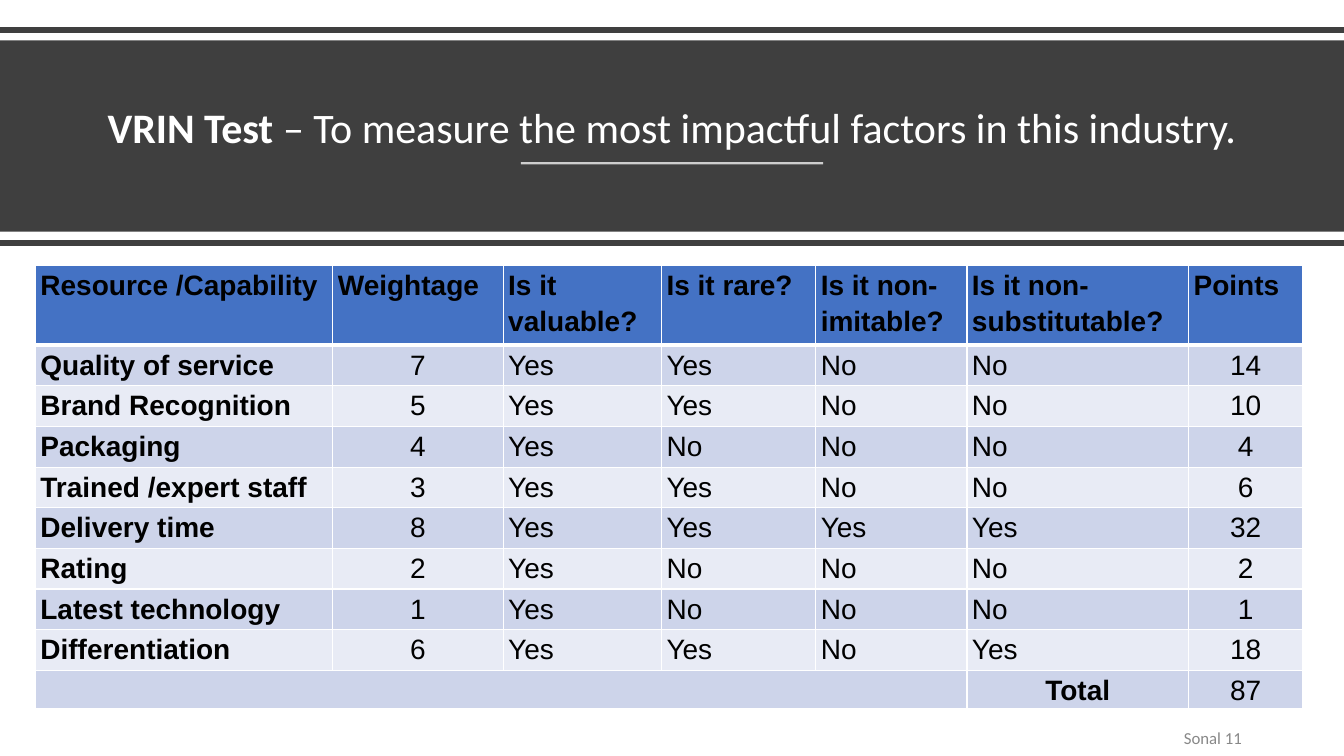
from dataclasses import dataclass

from pptx import Presentation
from pptx.dml.color import RGBColor
from pptx.enum.shapes import MSO_CONNECTOR, MSO_SHAPE
from pptx.enum.text import MSO_ANCHOR, MSO_AUTO_SIZE, PP_ALIGN
from pptx.oxml.ns import qn
from pptx.util import Inches, Pt
from lxml import etree

STRAIGHT = MSO_CONNECTOR.STRAIGHT
RECTANGLE = MSO_SHAPE.RECTANGLE
LEFT, CENTER, RIGHT = PP_ALIGN.LEFT, PP_ALIGN.CENTER, PP_ALIGN.RIGHT
BOTTOM, MIDDLE = MSO_ANCHOR.BOTTOM, MSO_ANCHOR.MIDDLE
NO_AUTOFIT = MSO_AUTO_SIZE.NONE

SLIDE_WIDTH, SLIDE_HEIGHT = Inches(13.333), Inches(7.5)
CHARCOAL, WHITE, BLACK, GRAY = "3F3F3F", "FFFFFF", "000000", "888888"
HEADER_FILL = "4472C4"
BAND_FILLS = ("CDD4EA", "E8EBF5")

COLUMN_PERCENTS = (22.13, 12.68, 11.78, 11.48, 11.25, 16.5, 8.48)
ROW_PERCENTS = (10.6, *[5.38] * 8, 4.8)
HEADERS = (
    "Resource /Capability",
    "Weightage",
    "Is it\nvaluable?",
    "Is it rare?",
    "Is it non-\nimitable?",
    "Is it non- substitutable?",
    "Points",
)


@dataclass(frozen=True)
class Rule:
    start: float
    end: float
    top: float
    color: str
    width: float
    opacity: int = 100


@dataclass(frozen=True)
class Resource:
    name: str
    weightage: int
    answers: tuple[str, str, str, str]

    @property
    def points(self) -> int:
        return self.weightage * self.answers.count("Yes")


RULES = (
    Rule(0, 100, 4, CHARCOAL, 4),
    Rule(38.75, 61.25, 21.6, WHITE, 1.5, 75),
    Rule(0, 100, 32.13, CHARCOAL, 4),
)
RESOURCES = (
    Resource("Quality of service", 7, ("Yes", "Yes", "No", "No")),
    Resource("Brand Recognition", 5, ("Yes", "Yes", "No", "No")),
    Resource("Packaging", 4, ("Yes", "No", "No", "No")),
    Resource("Trained /expert staff", 3, ("Yes", "Yes", "No", "No")),
    Resource("Delivery time", 8, ("Yes", "Yes", "Yes", "Yes")),
    Resource("Rating", 2, ("Yes", "No", "No", "No")),
    Resource("Latest technology", 1, ("Yes", "No", "No", "No")),
    Resource("Differentiation", 6, ("Yes", "Yes", "No", "Yes")),
)


def across(percent: float) -> int:
    return round(SLIDE_WIDTH * percent / 100)


def down(percent: float) -> int:
    return round(SLIDE_HEIGHT * percent / 100)


def rgb(color: str) -> RGBColor:
    return RGBColor.from_string(color)


def write_text(paragraph, text: str, *, size: float, color: str, font: str = "Calibri",
               bold: bool = False, align=LEFT, spacing: float = 1.0) -> None:
    paragraph.alignment = align
    paragraph.line_spacing = spacing
    run = paragraph.add_run()
    run.text = text
    run.font.name = font
    run.font.size = Pt(size)
    run.font.bold = bold
    run.font.color.rgb = rgb(color)


def draw_rule(slide, rule: Rule) -> None:
    connector = slide.shapes.add_connector(
        STRAIGHT, across(rule.start), down(rule.top), across(rule.end), down(rule.top))
    connector.line.color.rgb = rgb(rule.color)
    connector.line.width = Pt(rule.width)
    properties = connector.element.spPr
    etree.SubElement(properties, qn("a:effectLst"))
    if rule.opacity < 100:
        line_color = properties.find(".//" + qn("a:srgbClr"))
        etree.SubElement(line_color, qn("a:alpha"), val=str(rule.opacity * 1000))


def draw_title(slide) -> None:
    band = slide.shapes.add_shape(RECTANGLE, 0, down(5.33), SLIDE_WIDTH, down(25.33))
    band.shadow.inherit = False
    band.fill.solid()
    band.fill.fore_color.rgb = rgb(CHARCOAL)
    band.line.fill.background()

    title = slide.shapes.title
    title.left, title.top = across(4.35), down(7.2)
    title.width, title.height = across(91.35), down(13.6)
    band.element.addnext(title.element)
    frame = title.text_frame
    frame.word_wrap = True
    frame.auto_size = NO_AUTOFIT
    frame.vertical_anchor = BOTTOM
    for text, bold in (
        ("VRIN Test ", True),
        ("– To measure the most impactful factors in this industry.", False),
    ):
        write_text(frame.paragraphs[0], text, size=30, color=WHITE, bold=bold,
                   align=CENTER, spacing=0.9)


def draw_footer(slide) -> None:
    footer = slide.shapes.add_textbox(across(70.65), down(95.07), across(22.5), down(5.07))
    frame = footer.text_frame
    frame.word_wrap = True
    frame.vertical_anchor = MIDDLE
    write_text(frame.paragraphs[0], "Sonal 11", size=12, color=GRAY, align=RIGHT)


def add_border(cell, side: str, width: float) -> None:
    properties = cell._tc.get_or_add_tcPr()
    border = etree.SubElement(properties, qn(f"a:{side}"), w=str(Pt(width)))
    fill = etree.SubElement(border, qn("a:solidFill"))
    etree.SubElement(fill, qn("a:srgbClr"), val=WHITE)


def format_cell(cell, row: int, column: int, text: str) -> None:
    cell.margin_left = cell.margin_right = Inches(0.05)
    cell.margin_top = cell.margin_bottom = 0
    widths = {"lnL": 1, "lnR": 1, "lnT": 3 if row == 1 else 1, "lnB": 3 if row == 0 else 1}
    for side, width in widths.items():
        add_border(cell, side, width)
    cell.fill.solid()
    cell.fill.fore_color.rgb = rgb(BAND_FILLS[(row - 1) % 2] if row else HEADER_FILL)
    if not text:
        return
    centered = row > 0 and (column in (1, 6) or text == "Total")
    bold = row == 0 or column == 0 or text == "Total"
    frame = cell.text_frame
    for index, line in enumerate(text.split("\n")):
        paragraph = frame.add_paragraph() if index else frame.paragraphs[0]
        write_text(paragraph, line, size=20, color=BLACK, font="Arial", bold=bold,
                   align=CENTER if centered else LEFT, spacing=1.15)


def draw_table(slide) -> None:
    total = sum(resource.points for resource in RESOURCES)
    rows = [
        HEADERS,
        *((item.name, str(item.weightage), *item.answers, str(item.points))
          for item in RESOURCES),
        ("", "", "", "", "", "Total", str(total)),
    ]
    table = slide.shapes.add_table(
        len(rows), len(HEADERS), across(2.63), down(35.07),
        across(sum(COLUMN_PERCENTS)), down(sum(ROW_PERCENTS))).table
    for column, percent in zip(table.columns, COLUMN_PERCENTS):
        column.width = across(percent)
    for row, percent in zip(table.rows, ROW_PERCENTS):
        row.height = down(percent)
    for row_index, texts in enumerate(rows):
        for column_index, text in enumerate(texts):
            format_cell(table.cell(row_index, column_index), row_index, column_index, text)
    last_row = len(rows) - 1
    table.cell(last_row, 0).merge(table.cell(last_row, 4))


def main() -> None:
    presentation = Presentation()
    presentation.slide_width = SLIDE_WIDTH
    presentation.slide_height = SLIDE_HEIGHT
    slide = presentation.slides.add_slide(presentation.slide_layouts[5])
    draw_title(slide)
    for rule in RULES:
        draw_rule(slide, rule)
    draw_footer(slide)
    draw_table(slide)
    presentation.save("out.pptx")


if __name__ == "__main__":
    main()
